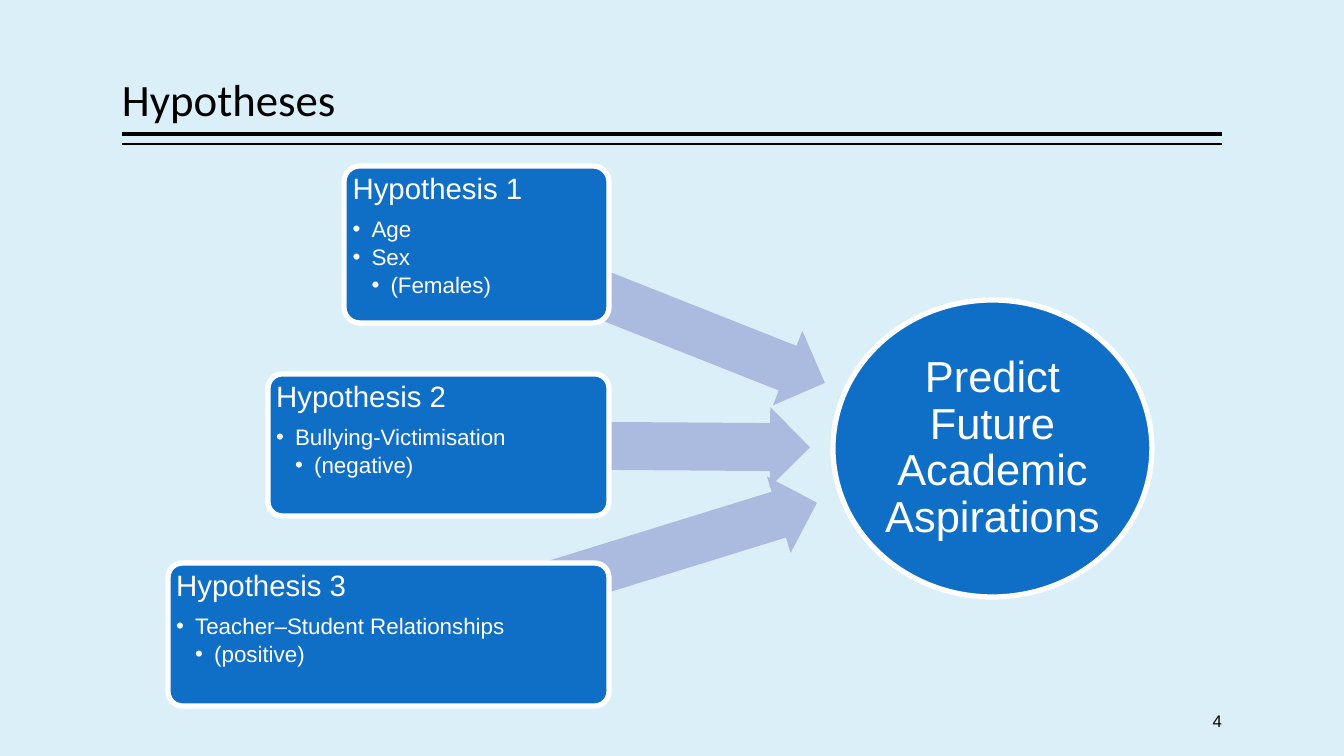
from pptx import Presentation
from pptx.dml.color import RGBColor
from pptx.enum.shapes import MSO_CONNECTOR, MSO_SHAPE
from pptx.enum.text import MSO_ANCHOR, PP_ALIGN
from pptx.oxml.ns import qn
from pptx.util import Pt
from lxml.etree import SubElement

TITLE = "Hypotheses"
OUTCOME = "Predict Future Academic Aspirations"
NUMBER = "4"
HYPOTHESES = [
    {"head": "Hypothesis 1", "items": [(1, "Age"), (1, "Sex"), (2, "(Females)")],
     "top": 166, "width": 265, "height": 157, "arrow": (651, 314, 374, 201.6)},
    {"head": "Hypothesis 2", "items": [(1, "Bullying-Victimisation"), (2, "(negative)")],
     "top": 374, "width": 341, "height": 142, "arrow": (624, 446, 372, 180.4)},
    {"head": "Hypothesis 3", "items": [(1, "Teacher–Student Relationships"), (2, "(positive)")],
     "top": 563, "width": 441, "height": 143, "arrow": (603, 569, 448, 162.8)},
]
RULES = [(134, 3), (144, 1)]
LEFT, RIGHT, BOX_RIGHT = 122, 1222, 609
ARROW_H, INDENT = 80, 19
BLUE, LILAC, WHITE, BLACK, SKY = "0F6FC6", "ABBBDF", "FFFFFF", "000000", "DBEFF9"


def px(n):
    return round(n * 914400 / 100.8)


def rgb(value):
    return RGBColor.from_string(value)


def add_shape(kind, x, y, w, h, fill, line=None):
    sp = s.shapes.add_shape(kind, px(x), px(y), px(w), px(h))
    sp.shadow.inherit = False
    sp.fill.solid()
    sp.fill.fore_color.rgb = rgb(fill)
    if line:
        sp.line.color.rgb = rgb(line)
        sp.line.width = Pt(3.78)
    else:
        sp.line.fill.background()
    return sp


def set_frame(tf, anchor, side, end):
    tf.word_wrap = True
    tf.vertical_anchor = anchor
    tf.margin_left = tf.margin_right = px(side)
    tf.margin_top = tf.margin_bottom = px(end)


def write(p, text, size, color, font="Arial", align=PP_ALIGN.LEFT, spacing=0.9, after=0):
    p.text = text
    p.alignment = align
    p.line_spacing = spacing
    p.space_after = Pt(after)
    f = p.runs[0].font
    f.name, f.size, f.color.rgb = font, Pt(size), rgb(color)


def add_bullet(p, level):
    p.level = level
    pPr = p._p.get_or_add_pPr()
    pPr.set("marL", str(px(INDENT * level)))
    pPr.set("indent", str(-px(INDENT)))
    SubElement(pPr, qn("a:buFont")).set("typeface", "Arial")
    SubElement(pPr, qn("a:buChar")).set("char", "•")


prs = Presentation()
prs.slide_width, prs.slide_height = px(1344), px(756)
s = prs.slides.add_slide(prs.slide_layouts[5])
s.background.fill.solid()
s.background.fill.fore_color.rgb = rgb(SKY)

for y, weight in RULES:
    rule = s.shapes.add_connector(MSO_CONNECTOR.STRAIGHT, px(RIGHT), px(y), px(LEFT), px(y))
    rule.line.color.rgb = rgb(BLACK)
    rule.line.width = Pt(weight)
    SubElement(rule._element.spPr, qn("a:effectLst"))

title = s.shapes.title
title.left, title.top, title.width, title.height = px(LEFT), px(10), px(RIGHT - LEFT), px(121)
set_frame(title.text_frame, MSO_ANCHOR.BOTTOM, 0, 5)
write(title.text_frame.paragraphs[0], TITLE, 32, BLACK, font="Calibri")

outcome = add_shape(MSO_SHAPE.OVAL, 833, 300, 319, 297, BLUE, WHITE)
set_frame(outcome.text_frame, MSO_ANCHOR.MIDDLE, 2, 2)
write(outcome.text_frame.paragraphs[0], OUTCOME, 31, WHITE, align=PP_ALIGN.CENTER)

for hyp in HYPOTHESES:
    cx, cy, length, angle = hyp["arrow"]
    arrow = add_shape(MSO_SHAPE.LEFT_ARROW, cx - length / 2, cy - ARROW_H / 2,
                      length, ARROW_H, LILAC)
    arrow.adjustments[0], arrow.adjustments[1] = 0.6, 0.5
    arrow.rotation = angle

    box = add_shape(MSO_SHAPE.ROUNDED_RECTANGLE, BOX_RIGHT - hyp["width"], hyp["top"],
                    hyp["width"], hyp["height"], BLUE, WHITE)
    box.adjustments[0] = 0.1
    tf = box.text_frame
    set_frame(tf, MSO_ANCHOR.TOP, 4, 4)
    write(tf.paragraphs[0], hyp["head"], 21, WHITE, after=8.5)
    for level, item in hyp["items"]:
        p = tf.add_paragraph()
        write(p, item, 16, WHITE, after=2.7)
        add_bullet(p, level)

number = s.shapes.add_textbox(px(RIGHT - 202), px(701), px(202), px(40))
set_frame(number.text_frame, MSO_ANCHOR.MIDDLE, 0, 5)
write(number.text_frame.paragraphs[0], NUMBER, 12, BLACK, align=PP_ALIGN.RIGHT, spacing=1.0)

prs.save("out.pptx")
